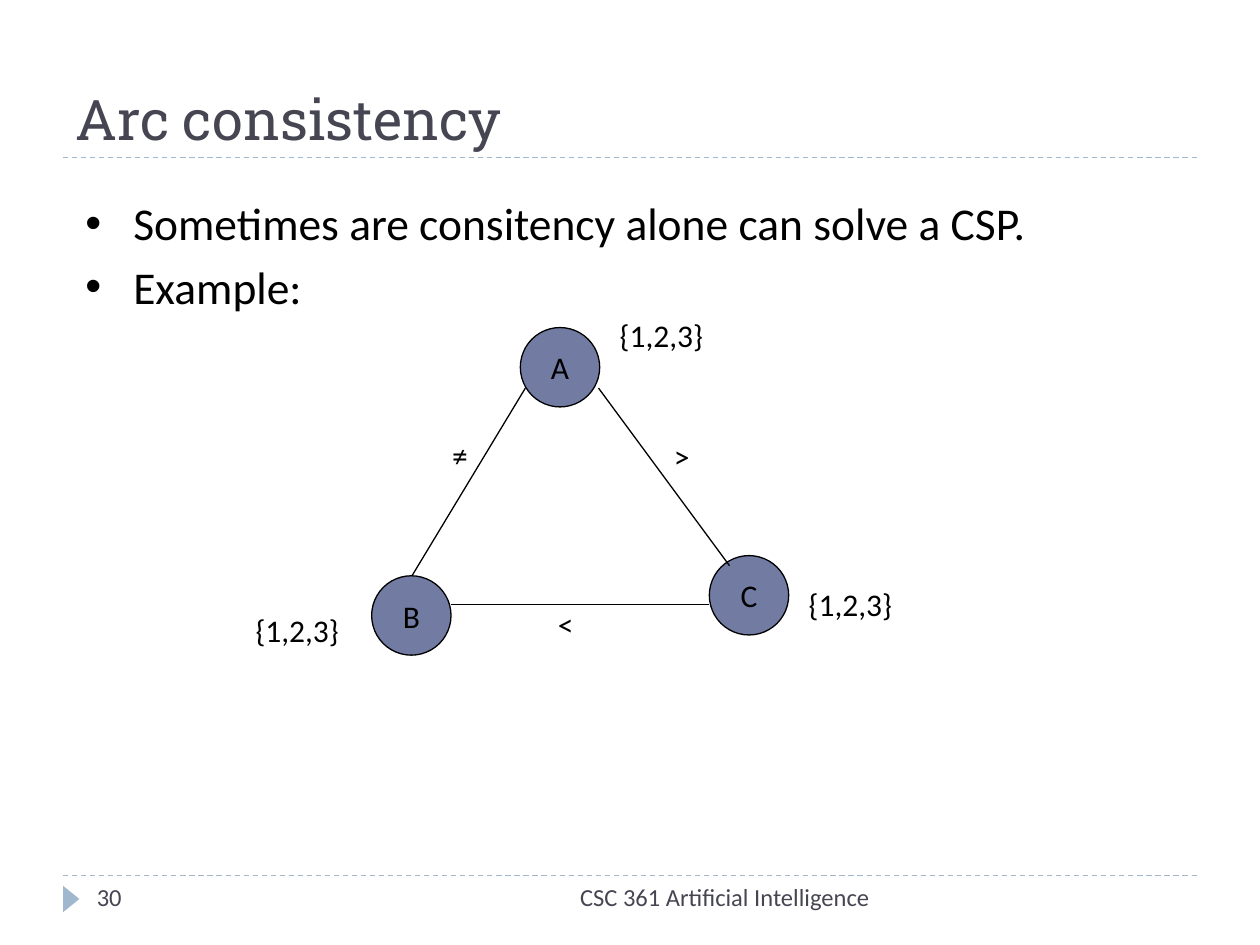
from dataclasses import dataclass

from lxml.etree import SubElement
from pptx import Presentation
from pptx.dml.color import RGBColor
from pptx.enum.dml import MSO_LINE
from pptx.enum.shapes import MSO_CONNECTOR, MSO_SHAPE
from pptx.enum.text import MSO_ANCHOR, MSO_AUTO_SIZE, PP_ALIGN
from pptx.oxml.ns import qn
from pptx.util import Emu, Pt

PX = 9144  # EMU per px, 100 px to the inch


@dataclass(frozen=True)
class Theme:
    ink: RGBColor = RGBColor(0x00, 0x00, 0x00)
    heading: RGBColor = RGBColor(0x46, 0x46, 0x53)
    accent: RGBColor = RGBColor(0x9F, 0xB8, 0xCD)
    node: RGBColor = RGBColor(0x72, 0x7C, 0xA3)
    title_font: str = "Roboto Slab"
    body_font: str = "Calibri"
    title_size: int = 32
    body_size: int = 26
    label_size: int = 18
    footer_size: int = 14
    line_width: float = 0.75


THEME = Theme()
NODE_SIZE = 63
NODES = [("A", 413, 260), ("B", 295, 457), ("C", 563, 441)]
ARCS = [(417, 308, 327, 457), (358, 480, 563, 480), (475, 308, 579, 449)]
LABELS = [
    (">", 525, 342, 35),
    ("<", 433, 475, 35),
    ("≠", 349, 341, 34),
    ("{1,2,3}", 482, 246, 92),
    ("{1,2,3}", 632, 459, 92),
    ("{1,2,3}", 193, 480, 92),
]
BULLETS = ["Sometimes are consitency alone can solve a CSP.", "Example:"]


def px(*values):
    return [Emu(v * PX) for v in values]


def add_run(p, text, size, color=THEME.ink, font=THEME.body_font):
    r = p.add_run()
    r.text = text
    r.font.size = Pt(size)
    r.font.name = font
    r.font.color.rgb = color


def add_box(s, box, wrap=True):
    tf = s.shapes.add_textbox(*px(*box)).text_frame
    tf.word_wrap = wrap
    return tf


def add_line(s, ends, color=THEME.ink, dash=None):
    line = s.shapes.add_connector(MSO_CONNECTOR.STRAIGHT, *px(*ends))
    line.line.color.rgb = color
    line.line.width = Pt(THEME.line_width)
    if dash:
        line.line.dash_style = dash
    SubElement(line._element.spPr, qn("a:effectLst"))


def add_filled(s, kind, box, color):
    sp = s.shapes.add_shape(kind, *px(*box))
    sp.shadow.inherit = False
    sp.fill.solid()
    sp.fill.fore_color.rgb = color
    sp.line.fill.background()
    return sp


def add_title(s, text):
    tf = add_box(s, (50, 17, 900, 108))
    tf.vertical_anchor = MSO_ANCHOR.BOTTOM
    add_run(tf.paragraphs[0], text, THEME.title_size, THEME.heading, THEME.title_font)


def add_bullets(s, items):
    tf = add_box(s, (58, 150, 890, 551))
    for i, item in enumerate(items):
        p = tf.paragraphs[0] if i == 0 else tf.add_paragraph()
        p.space_before = Pt(THEME.body_size * 0.2)
        pPr = p._p.get_or_add_pPr()
        pPr.set("marL", str(38 * PX))
        pPr.set("indent", str(-38 * PX))
        SubElement(pPr, qn("a:buFont"), typeface="Arial")
        SubElement(pPr, qn("a:buChar"), char="•")
        add_run(p, item, THEME.body_size)


def add_node(s, name, x, y):
    sp = add_filled(s, MSO_SHAPE.OVAL, (x, y, NODE_SIZE, NODE_SIZE), THEME.node)
    sp.line.color.rgb = THEME.ink
    sp.line.width = Pt(THEME.line_width)
    tf = sp.text_frame
    tf.word_wrap = False
    tf.vertical_anchor = MSO_ANCHOR.MIDDLE
    p = tf.paragraphs[0]
    p.alignment = PP_ALIGN.CENTER
    add_run(p, name, THEME.label_size)


def add_label(s, text, x, y, width):
    tf = add_box(s, (x, y, width, 40), wrap=False)
    tf.auto_size = MSO_AUTO_SIZE.SHAPE_TO_FIT_TEXT
    add_run(tf.paragraphs[0], text, THEME.label_size)


def add_footer(s, text, x, width, align):
    p = add_box(s, (x, 695, width, 40)).paragraphs[0]
    p.alignment = align
    add_run(p, text, THEME.footer_size, THEME.heading)


def main():
    prs = Presentation()
    prs.slide_width, prs.slide_height = px(1000, 750)
    s = prs.slides.add_slide(prs.slide_layouts[6])

    for y in (695, 125):
        add_line(s, (50, y, 950, y), THEME.accent, MSO_LINE.DASH)
    marker = add_filled(s, MSO_SHAPE.ISOSCELES_TRIANGLE, (46, 707, 21, 13), THEME.accent)
    marker.rotation = 90
    add_title(s, "Arc consistency")
    add_bullets(s, BULLETS)

    for node in NODES:
        add_node(s, *node)
    for arc in ARCS:
        add_line(s, arc)
    for label in LABELS:
        add_label(s, *label)

    add_footer(s, "30", 67, 217, PP_ALIGN.LEFT)
    add_footer(s, "CSC 361 Artificial Intelligence", 317, 383, PP_ALIGN.RIGHT)
    prs.save("out.pptx")


if __name__ == "__main__":
    main()
